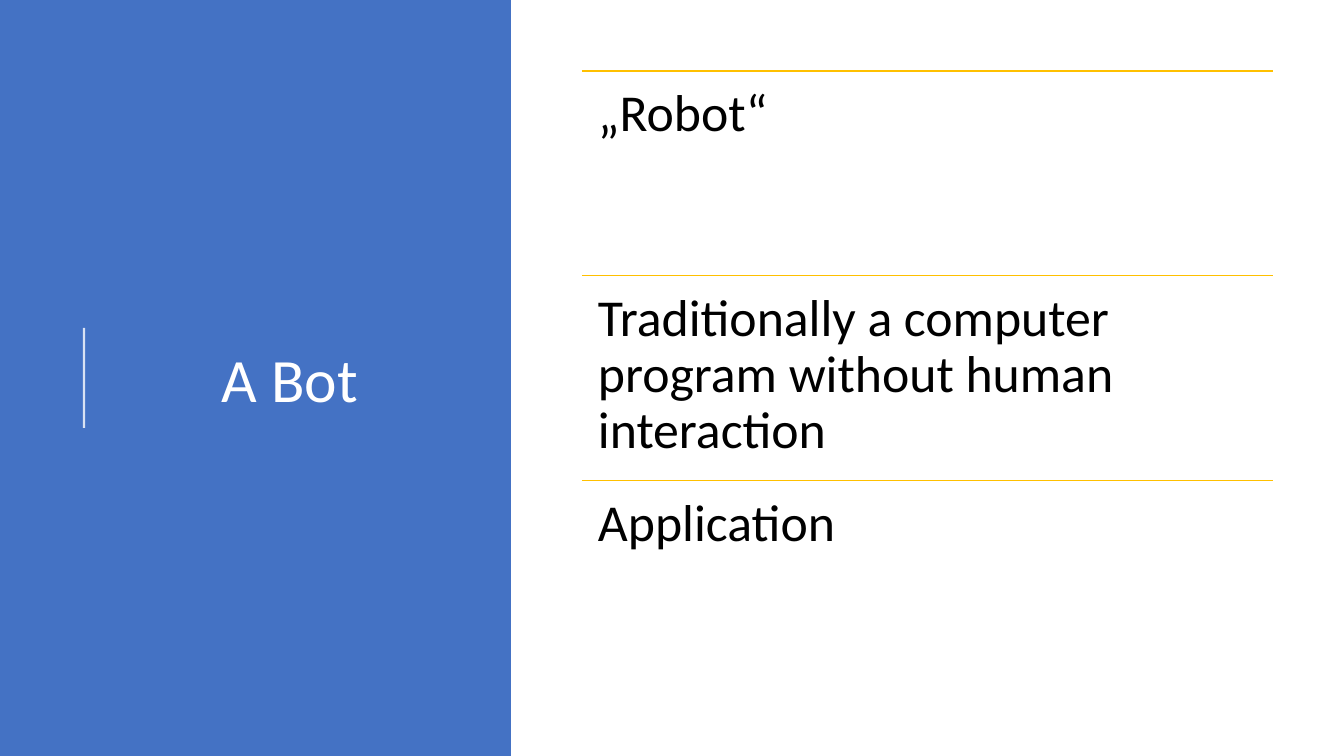
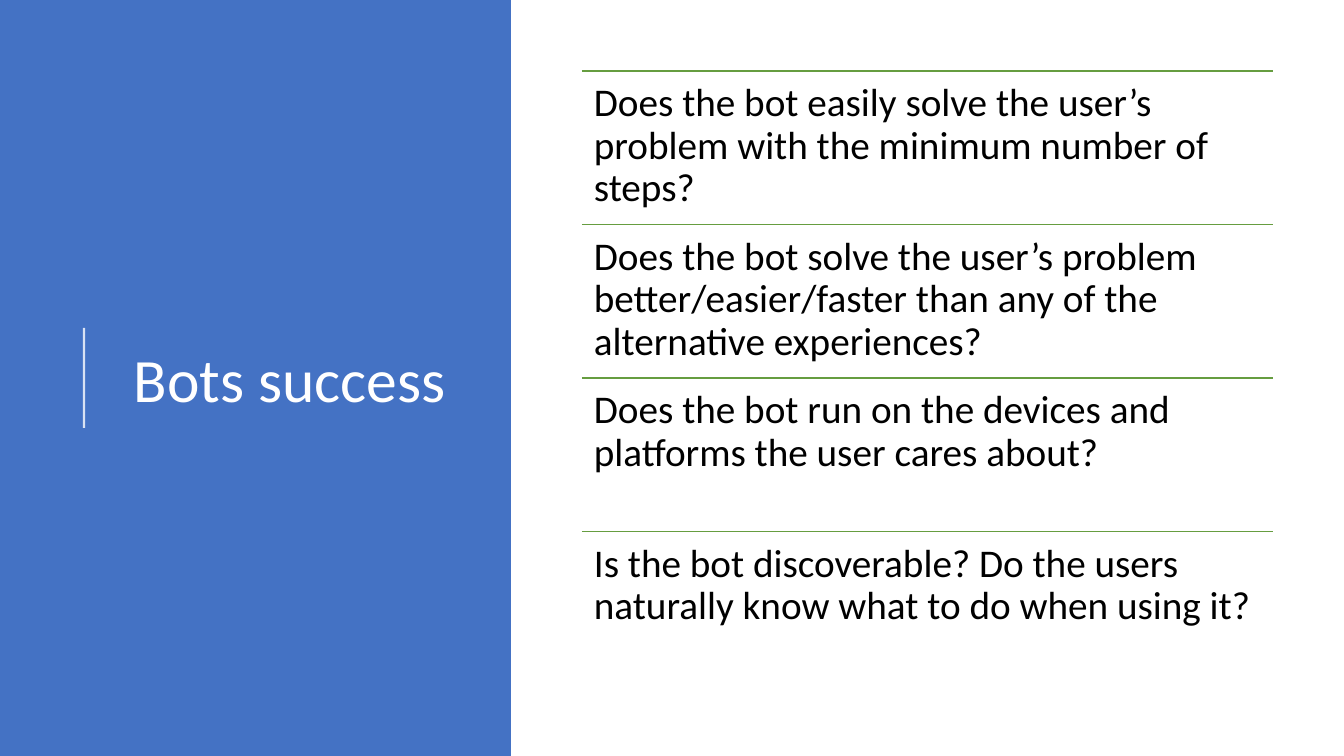
from pptx import Presentation
from pptx.dml.color import RGBColor
from pptx.enum.shapes import MSO_CONNECTOR as CONN, MSO_SHAPE as SHAPE
from pptx.enum.text import MSO_ANCHOR as ANCHOR, PP_ALIGN as ALIGN
from pptx.oxml.ns import qn
from pptx.util import Emu, Pt
from lxml.etree import SubElement

SCALE = 914400 / 100.8
WIDTH, HEIGHT = 1344, 756
FONT = "Calibri"
BLUE, WHITE, BLACK = "4472C4", "FFFFFF", "000000"
PANEL_BOX = (0, 0, 511, HEIGHT)
LIST_BOX = (582, 71, 691, 614)

SLIDES = [
    {
        "title": "A Bot",
        "items": [
            "„Robot“",
            "Traditionally a computer program without human interaction",
            "Application",
        ],
        "style": {"color": "FFC000", "size": 37, "inset": 16},
    },
    {
        "title": "Bots success",
        "items": [
            "Does the bot easily solve the user’s problem with the minimum number of steps?",
            "Does the bot solve the user’s problem better/easier/faster than any of the alternative experiences?",
            "Does the bot run on the devices and platforms the user cares about?",
            "Is the bot discoverable? Do the users naturally know what to do when using it?",
        ],
        "style": {"color": "669D40", "size": 28, "inset": 12},
    },
]


def px(*values):
    """Turn pixel lengths into a list of EMU."""
    return [Emu(round(v * SCALE)) for v in values]


def rgb(value):
    """Turn a hex string into a colour."""
    return RGBColor.from_string(value)


def set_all(target, values):
    """Set every attribute named in a dict."""
    for name, value in values.items():
        setattr(target, name, value)


def add_rule(shapes, ends, color, width, alpha=None):
    """Draw a plain straight line, optionally see-through."""
    line = shapes.add_connector(CONN.STRAIGHT, *px(*ends))
    line.line.color.rgb = rgb(color)
    line.line.width = Pt(width)
    SubElement(line._element.spPr, qn("a:effectLst"))
    if alpha is not None:
        clr = next(line._element.spPr.iter(qn("a:srgbClr")))
        SubElement(clr, qn("a:alpha"), val=str(alpha * 1000))


def add_text(shapes, box, text, size, color, inset, anchor=ANCHOR.TOP, align=ALIGN.LEFT):
    """Place one paragraph of wrapped text in a box."""
    tf = shapes.add_textbox(*px(*box)).text_frame
    margin = px(inset)[0]
    sides = ("margin_left", "margin_top", "margin_right", "margin_bottom")
    set_all(tf, {"word_wrap": True, "vertical_anchor": anchor, **dict.fromkeys(sides, margin)})
    p = tf.paragraphs[0]
    set_all(p, {"alignment": align, "line_spacing": 0.9})
    r = p.add_run()
    r.text = text
    set_all(r.font, {"name": FONT, "size": Pt(size)})
    r.font.color.rgb = rgb(color)


def add_title_panel(s, box, title):
    """Draw the coloured side panel with its accent line and title."""
    x, y, w, h = box
    sp = s.shapes.add_shape(SHAPE.RECTANGLE, *px(*box))
    sp.shadow.inherit = False
    sp.fill.solid()
    sp.fill.fore_color.rgb = rgb(BLUE)
    sp.line.fill.background()
    middle = y + h // 2
    add_rule(s.shapes, (x + 84, middle + 50, x + 84, middle - 50), WHITE, 1.5, 80)
    add_text(s.shapes, (x + 104, y + 79, w - 139, h - 149), title, 44, WHITE, 10,
             ANCHOR.MIDDLE, ALIGN.CENTER)


def add_ruled_list(s, box, items, color, size, inset):
    """Stack items in equal rows, each under a coloured rule."""
    x, y, w, h = box
    shapes = s.shapes.add_group_shape().shapes
    row = h / len(items)
    for i, item in enumerate(items):
        top = y + i * row
        add_rule(shapes, (x, top, x + w, top), color, 1)
        add_text(shapes, (x, top, w, row), item, size, BLACK, inset)


def main():
    """Build and save the slides."""
    prs = Presentation()
    prs.slide_width, prs.slide_height = px(WIDTH, HEIGHT)
    for content in SLIDES:
        s = prs.slides.add_slide(prs.slide_layouts[6])
        add_title_panel(s, PANEL_BOX, content["title"])
        add_ruled_list(s, LIST_BOX, content["items"], **content["style"])
    prs.save("out.pptx")


if __name__ == "__main__":
    main()
